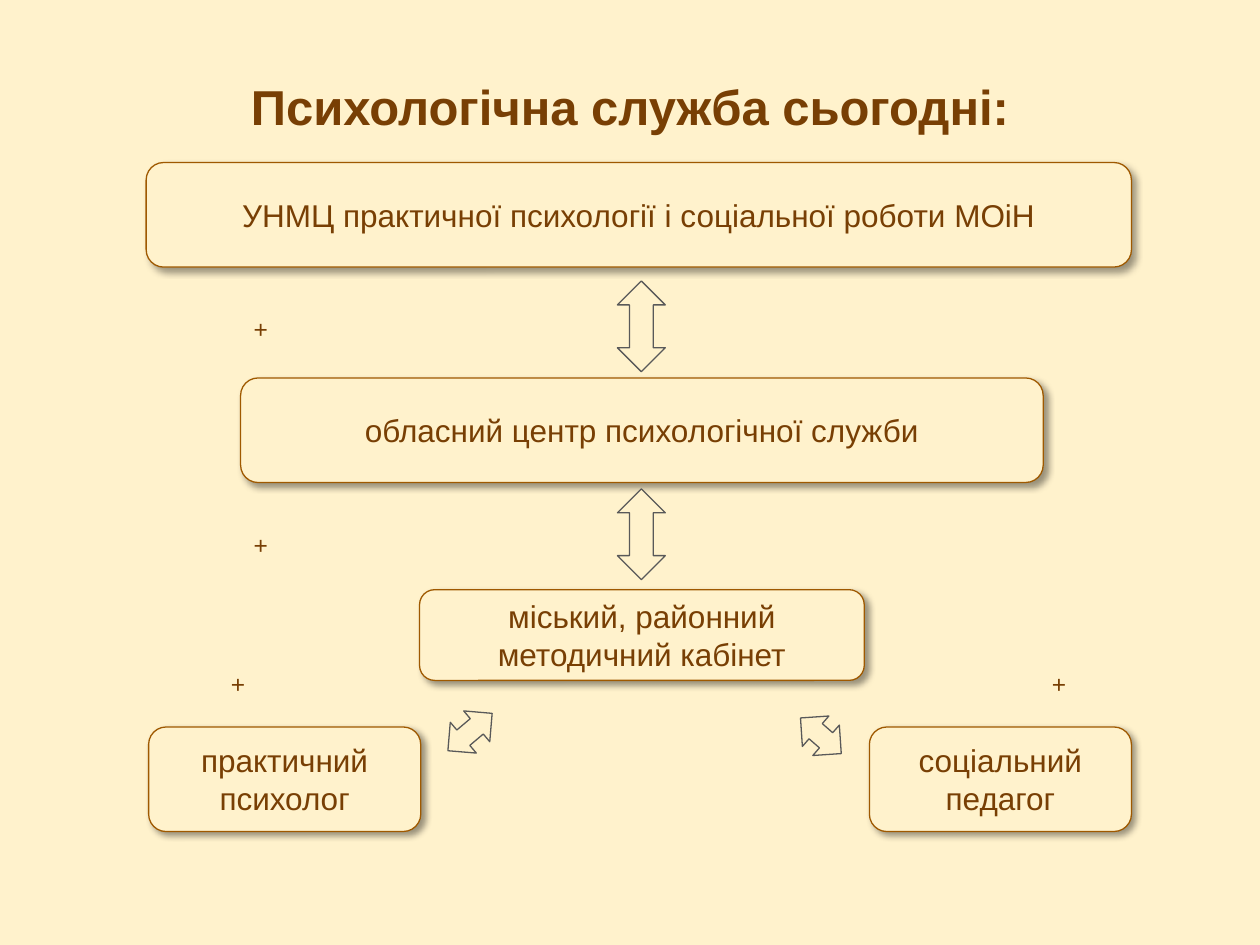
import dataclasses

import lxml.etree
import pptx
import pptx.dml.color
import pptx.enum.shapes
import pptx.enum.text
import pptx.oxml.ns
import pptx.util

Inches = pptx.util.Inches
Shapes = pptx.enum.shapes.MSO_SHAPE
Anchor = pptx.enum.text.MSO_ANCHOR


@dataclasses.dataclass(frozen=True)
class Theme:
    font: str = "Arial"
    background: str = "FFF2CC"
    text: str = "783F04"
    box_line: str = "9F5900"
    arrow_line: str = "595959"
    shadow: str = "000000"
    title_size: int = 28
    box_size: int = 18
    plus_size: int = 14
    line_width: float = 0.75


def color(value):
    return pptx.dml.color.RGBColor.from_string(value)


def write_text(shape, text, *, theme, size, bold=False, anchor=Anchor.MIDDLE, spacing=None):
    frame = shape.text_frame
    frame.word_wrap = True
    frame.vertical_anchor = anchor
    frame.margin_left = frame.margin_right = Inches(0.1)
    frame.margin_top = frame.margin_bottom = Inches(0.1)
    paragraph = frame.paragraphs[0]
    paragraph.alignment = pptx.enum.text.PP_ALIGN.CENTER
    if spacing:
        paragraph.line_spacing = spacing
    run = paragraph.add_run()
    run.text = text
    run.font.name = theme.font
    run.font.size = pptx.util.Pt(size)
    run.font.bold = bold
    run.font.color.rgb = color(theme.text)


class SlideBuilder:
    def __init__(self, slide, theme):
        self.slide = slide
        self.theme = theme
        fill = slide.background.fill
        fill.solid()
        fill.fore_color.rgb = color(theme.background)

    def label(self, text, left, top, width, height, **text_format):
        shape = self.slide.shapes.add_textbox(
            Inches(left), Inches(top), Inches(width), Inches(height))
        write_text(shape, text, theme=self.theme, **text_format)

    def outlined(self, kind, left, top, width, height, line):
        shape = self.slide.shapes.add_shape(
            kind, Inches(left), Inches(top), Inches(width), Inches(height))
        shape.shadow.inherit = False
        shape.fill.solid()
        shape.fill.fore_color.rgb = color(self.theme.background)
        shape.line.color.rgb = color(line)
        shape.line.width = pptx.util.Pt(self.theme.line_width)
        return shape

    def box(self, text, left, top, width, height=0.83):
        shape = self.outlined(Shapes.ROUNDED_RECTANGLE, left, top, width, height,
                              self.theme.box_line)
        shape.adjustments[0] = 0.167
        self.add_shadow(shape)
        write_text(shape, text, theme=self.theme, size=self.theme.box_size)

    def add_shadow(self, shape):
        qn = pptx.oxml.ns.qn
        effects = shape.element.spPr.find(qn("a:effectLst"))
        shadow = lxml.etree.SubElement(
            effects, qn("a:outerShdw"), blurRad=str(pptx.util.Pt(4)),
            dist=str(pptx.util.Pt(3)), dir=str(45 * 60000), algn="bl", rotWithShape="0")
        shade = lxml.etree.SubElement(shadow, qn("a:srgbClr"), val=self.theme.shadow)
        lxml.etree.SubElement(shade, qn("a:alpha"), val="40000")

    def arrow(self, left, top, width, height, rotation):
        shape = self.outlined(Shapes.LEFT_RIGHT_ARROW, left, top, width, height,
                              self.theme.arrow_line)
        shape.rotation = rotation

    def plus(self, left, top, width=0.4):
        self.label("+", left, top, width, 0.47, size=self.theme.plus_size)


def main():
    presentation = pptx.Presentation()
    presentation.slide_width = Inches(10)
    presentation.slide_height = Inches(7.5)
    theme = Theme()
    builder = SlideBuilder(
        presentation.slides.add_slide(presentation.slide_layouts[6]), theme)

    builder.label("Психологічна служба сьогодні:", 1.38, 0.46, 7.24, 0.83,
                  size=theme.title_size, bold=True, anchor=Anchor.TOP, spacing=1.1)

    builder.box("УНМЦ практичної психології і соціальної роботи МОіН", 1.16, 1.29, 7.82)
    builder.box("обласний центр психологічної служби", 1.91, 3, 6.37)
    builder.box("соціальний педагог", 6.9, 5.77, 2.08)
    builder.box("практичний психолог", 1.18, 5.77, 2.16)
    builder.box("міський, районний методичний кабінет", 3.33, 4.68, 3.53, 0.72)

    for top in (2.4, 4.05):
        builder.arrow(4.73, top, 0.72, 0.38, 90)
    builder.arrow(3.5, 5.65, 0.46, 0.32, 139.8)
    builder.arrow(6.3, 5.68, 0.43, 0.32, 41.1)

    builder.plus(1.87, 2.37)
    builder.plus(8.15, 5.19, 0.51)
    builder.plus(1.87, 4.09)
    builder.plus(1.69, 5.19)

    presentation.save("out.pptx")


if __name__ == "__main__":
    main()
